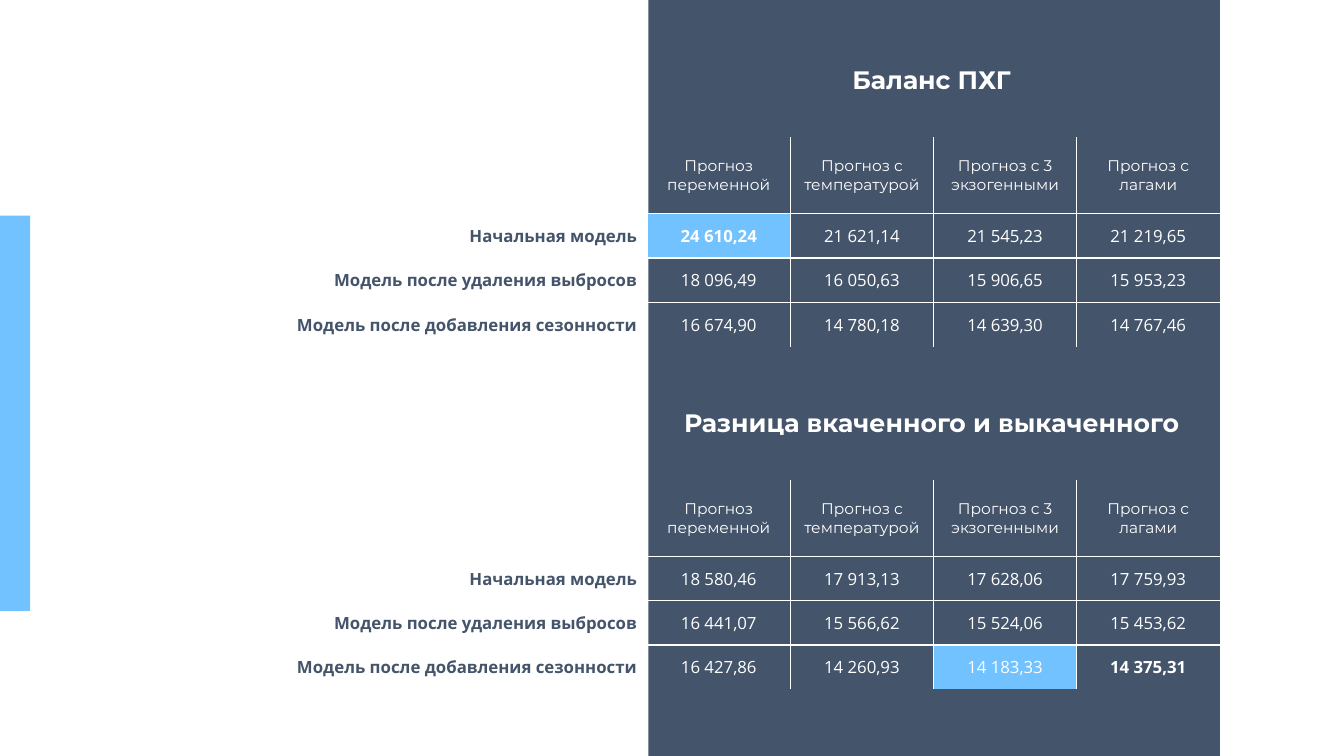
"""Builds a slide with two forecast error tables on a dark panel."""
from lxml import etree
from pptx import Presentation
from pptx.dml.color import RGBColor
from pptx.enum import shapes, text
from pptx.oxml import ns
from pptx.util import Inches, Pt

COLORS = {"panel": "44546A", "accent": "71C2FF", "white": "FFFFFF"}
HEAD_FONT, BODY_FONT = "Montserrat", "Open Sans"
HEADERS = ["Прогноз переменной", "Прогноз с температурой",
           "Прогноз с 3 экзогенными", "Прогноз с лагами"]
MODELS = ["Начальная модель", "Модель после удаления выбросов",
          "Модель после добавления сезонности"]
SECTIONS = [
    {"title": "Баланс ПХГ",
     "values": [["24 610,24", "21 621,14", "21 545,23", "21 219,65"],
                ["18 096,49", "16 050,63", "15 906,65", "15 953,23"],
                ["16 674,90", "14 780,18", "14 639,30", "14 767,46"]],
     "filled": (1, 1), "bold": (1, 1)},
    {"title": "Разница вкаченного и выкаченного",
     "values": [["18 580,46", "17 913,13", "17 628,06", "17 759,93"],
                ["16 441,07", "15 566,62", "15 524,06", "15 453,62"],
                ["16 427,86", "14 260,93", "14 183,33", "14 375,31"]],
     "filled": (3, 3), "bold": (3, 4)},
]
PANEL = (6.43, -0.01, 5.67, 7.51)
SIDE_BAR = (0, 2.14, 0.3, 3.92)
TITLE_TOP, TABLE_TOP, SECTION_STEP = 0.44, 1.36, 3.4
TABLE_LEFT, COLUMNS, ROWS = 2.56, [3.86] + [1.42] * 4, [0.76] + [0.44] * 3


def color(name):
    return RGBColor.from_string(COLORS[name])


def add_bar(page, area, fill):
    bar = page.shapes.add_shape(shapes.MSO_SHAPE.RECTANGLE, *map(Inches, area))
    bar.shadow.inherit = False
    bar.fill.solid()
    bar.fill.fore_color.rgb = color(fill)
    bar.line.fill.background()


def add_span(para, words, font, size, fill, bold, align):
    para.alignment = align
    span = para.add_run()
    span.text = words
    span.font.name, span.font.size, span.font.bold = font, Pt(size), bold
    span.font.color.rgb = color(fill)


def set_borders(cell, visible):
    for side in "LRTB":
        line = etree.SubElement(cell._tc.get_or_add_tcPr(), ns.qn("a:ln" + side), w=str(Pt(1)))
        if visible[side]:
            paint = etree.SubElement(line, ns.qn("a:solidFill"))
            etree.SubElement(paint, ns.qn("a:srgbClr"), val=COLORS["white"])
        else:
            etree.SubElement(line, ns.qn("a:noFill"))


def add_title(page, words, top):
    box = page.shapes.add_textbox(*map(Inches, (PANEL[0], top, 5.62, 0.5)))
    box.text_frame.word_wrap = True
    para = box.text_frame.paragraphs[0]
    para.line_spacing = 1.5
    add_span(para, words, HEAD_FONT, 18, "white", True, text.PP_ALIGN.CENTER)


def add_results(page, section, top):
    area = (TABLE_LEFT, top, sum(COLUMNS), sum(ROWS))
    table = page.shapes.add_table(len(ROWS), len(COLUMNS), *map(Inches, area)).table
    table.first_row = table.horz_banding = False
    for column, width in zip(table.columns, COLUMNS):
        column.width = Inches(width)
    for row, height in zip(table.rows, ROWS):
        row.height = Inches(height)
    grid = [[""] + HEADERS] + [[name] + row for name, row in zip(MODELS, section["values"])]
    for r, row in enumerate(grid):
        for c, words in enumerate(row):
            cell = table.cell(r, c)
            cell.vertical_anchor = text.MSO_ANCHOR.MIDDLE
            set_borders(cell, {"L": c > 0, "R": c < len(COLUMNS) - 1,
                               "T": r > 0, "B": r < len(ROWS) - 1})
            if (r, c) == section["filled"]:
                cell.fill.solid()
                cell.fill.fore_color.rgb = color("accent")
            else:
                cell.fill.background()
            if not words:
                continue
            font, size = (BODY_FONT, 12) if r else (HEAD_FONT, 11)
            fill = "white" if c else "panel"
            bold = c == 0 or (r, c) == section["bold"]
            align = text.PP_ALIGN.CENTER if c else text.PP_ALIGN.RIGHT
            add_span(cell.text_frame.paragraphs[0], words, font, size, fill, bold, align)


def main():
    deck = Presentation()
    deck.slide_width, deck.slide_height = Inches(13.33), Inches(7.5)
    page = deck.slides.add_slide(deck.slide_layouts[6])
    add_bar(page, PANEL, "panel")
    for index, section in enumerate(SECTIONS):
        add_title(page, section["title"], TITLE_TOP + index * SECTION_STEP)
        add_results(page, section, TABLE_TOP + index * SECTION_STEP)
    add_bar(page, SIDE_BAR, "accent")
    deck.save("out.pptx")


if __name__ == "__main__":
    main()
